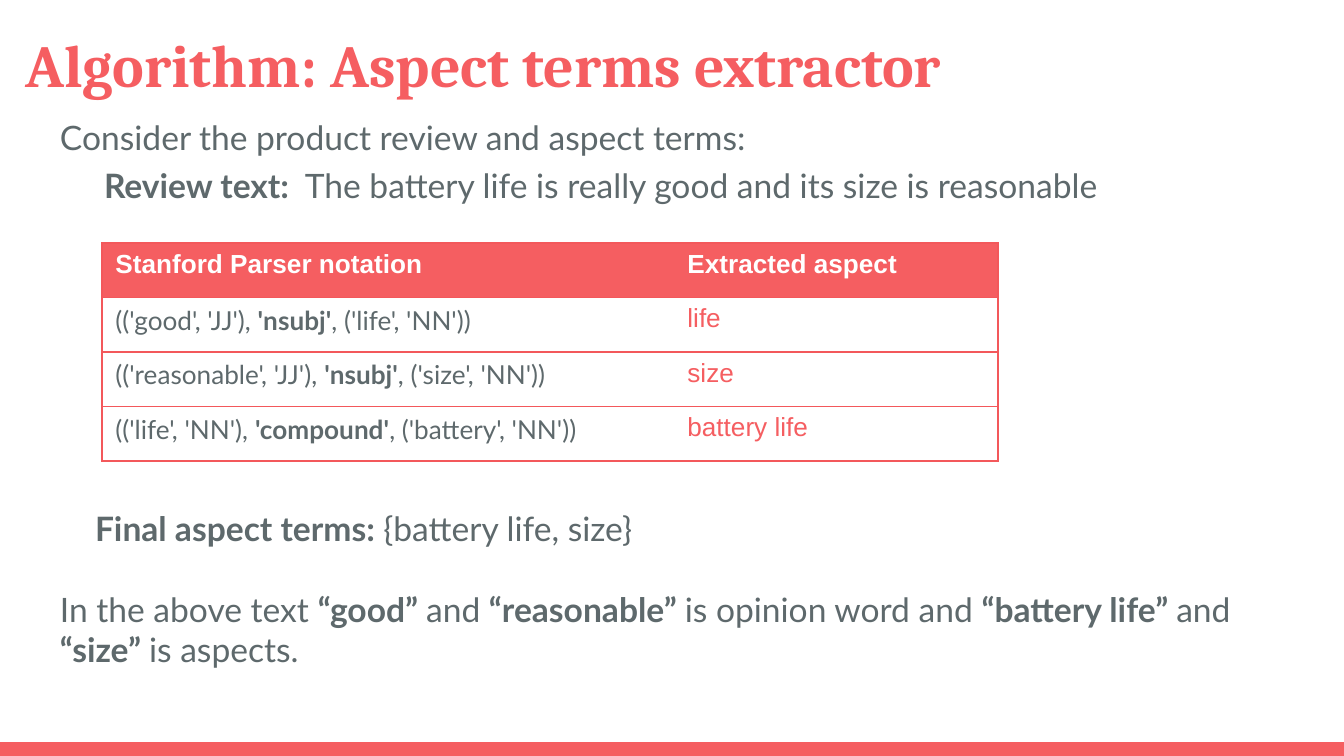
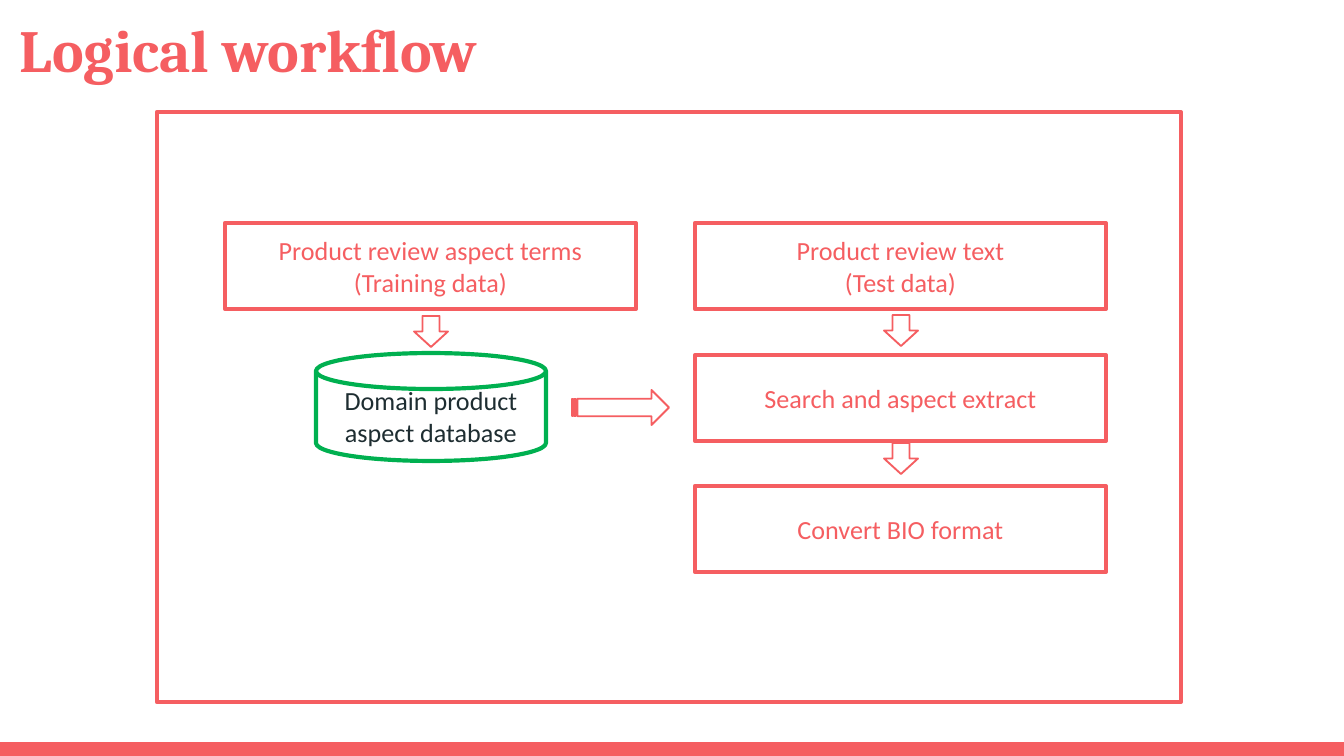
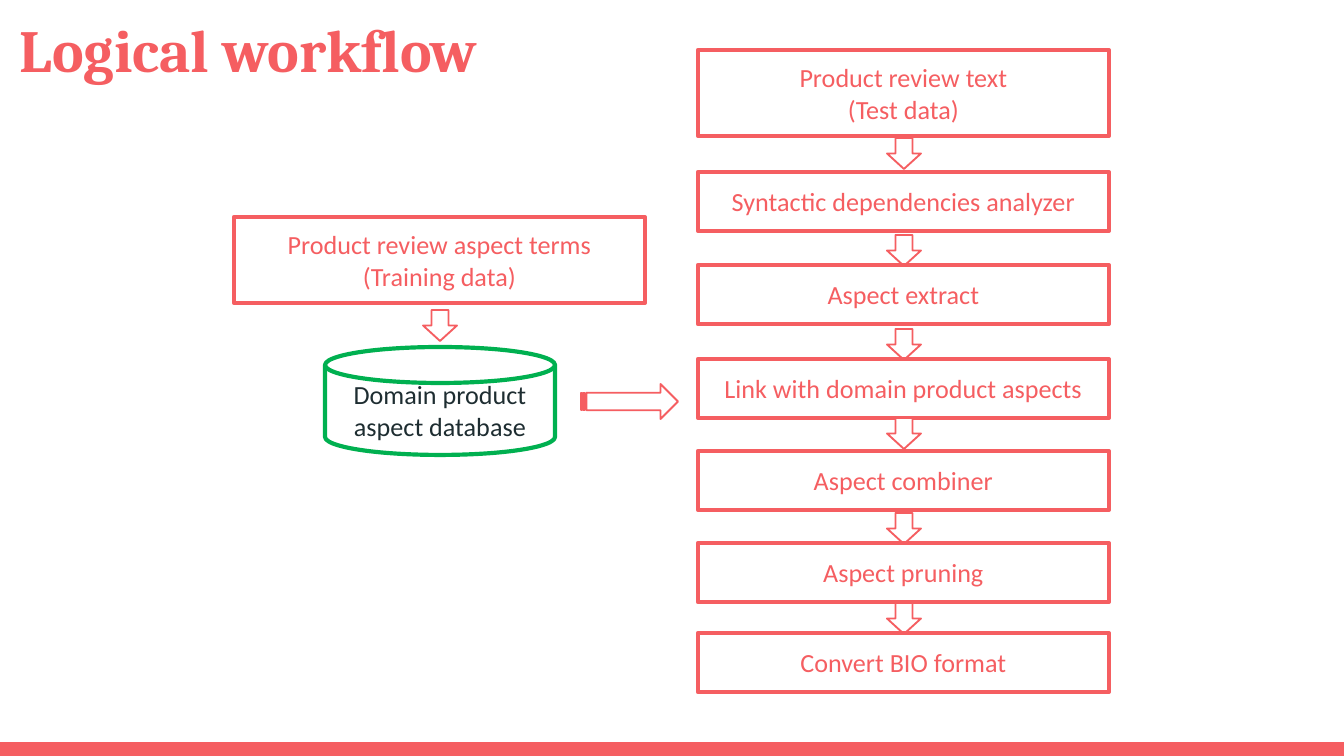
from lxml import etree
from pptx import Presentation
from pptx import util as u
from pptx.dml.color import RGBColor
from pptx.enum import shapes, text
from pptx.oxml.ns import qn

PX = 6804  # EMU in one px; the slide is 1344 px wide


class Theme:
    coral = RGBColor.from_string("F55E61")
    border = RGBColor.from_string("F3585B")
    grey = RGBColor.from_string("5E696C")
    dark = RGBColor.from_string("1E2D31")
    green = RGBColor.from_string("00B050")
    white = RGBColor.from_string("FFFFFF")
    title_font, body_font, table_font, box_font = "Cambria", "Lato", "Arial", "Calibri"
    title_size, body_size, small_size = u.Pt(32), u.Pt(18), u.Pt(14)
    thick, thin, hairline = u.Pt(2.25), u.Pt(1), u.Pt(0.75)


def write_runs(paragraph, marked, font, size, color):
    """Write text into a paragraph; parts between asterisks are bold."""
    for index, part in enumerate(marked.split("*")):
        if part:
            run = paragraph.add_run()
            run.text = part
            run.font.name, run.font.size = font, size
            run.font.bold = index % 2 == 1
            run.font.color.rgb = color


def add_figure(slide, kind, box, line, weight, label="", color=Theme.coral):
    """Add a white outlined shape with an optional centred label."""
    shape = slide.shapes.add_shape(kind, *[length * PX for length in box])
    shape.shadow.inherit = False
    shape.fill.solid()
    shape.fill.fore_color.rgb = Theme.white
    shape.line.color.rgb, shape.line.width = line, weight
    if label:
        frame = shape.text_frame
        frame.word_wrap = True
        frame.vertical_anchor = text.MSO_ANCHOR.MIDDLE
        frame.margin_left = frame.margin_right = 10 * PX
        frame.margin_top = frame.margin_bottom = 5 * PX
        frame.text = label
        for paragraph in frame.paragraphs:
            paragraph.alignment = text.PP_ALIGN.CENTER
            for run in paragraph.runs:
                run.font.name, run.font.size = Theme.box_font, Theme.small_size
                run.font.color.rgb = color
    return shape


presentation = Presentation()
presentation.slide_width, presentation.slide_height = 1344 * PX, 756 * PX
title_only = presentation.slide_layouts[5]

# Slides and their titles
slides = []
for heading, box in [
    ("Algorithm: Aspect terms extractor", (12, 15, 1313, 88)),
    ("Logical workflow", (7, 0, 1253, 98)),
    ("Logical workflow", (7, 0, 1253, 98)),
]:
    slide = presentation.slides.add_slide(title_only)
    title = slide.shapes.title
    title.left, title.top, title.width, title.height = [length * PX for length in box]
    frame = title.text_frame
    frame.auto_size = text.MSO_AUTO_SIZE.NONE
    frame.vertical_anchor = text.MSO_ANCHOR.TOP
    frame.margin_left = frame.margin_right = 13 * PX
    frame.margin_top = frame.margin_bottom = 13 * PX
    frame.paragraphs[0].alignment = text.PP_ALIGN.LEFT
    write_runs(frame.paragraphs[0], f"*{heading}*",
               Theme.title_font, Theme.title_size, Theme.coral)
    slides.append(slide)
extractor_slide, *workflow_slides = slides

# Bottom band, shared through the layout
band = add_figure(extractor_slide, shapes.MSO_SHAPE.RECTANGLE, (0, 742, 1344, 14),
                  Theme.coral, Theme.thin)
band.fill.fore_color.rgb = Theme.coral
band.line.fill.background()
title_only.shapes.element.append(band.element)

# Slide 1: body text, with room for the table before the third paragraph
body = extractor_slide.shapes.add_textbox(47 * PX, 104 * PX, 1243 * PX, 630 * PX)
frame = body.text_frame
frame.word_wrap = True
frame.margin_left = frame.margin_right = frame.margin_top = frame.margin_bottom = 13 * PX
body_lines = [  # text, indent in px, space before in points
    ("Consider the product review and aspect terms:", 0, 0),
    ("*Review text: * The battery life is really good and its size is reasonable", 44, 4),
    ("*Final aspect terms: *{battery life, size}", 35, 162),
    ("In the above text *“good” *and *“reasonable” *is opinion word and "
     "*“battery life” *and *“size” *is aspects.", 0, 22),
]
for index, (line, indent, gap) in enumerate(body_lines):
    paragraph = frame.add_paragraph() if index else frame.paragraphs[0]
    paragraph.space_before = u.Pt(gap)
    paragraph._p.get_or_add_pPr().set("marL", str(indent * PX))
    write_runs(paragraph, line, Theme.body_font, Theme.body_size, Theme.grey)

# Slide 1: table of parsed relations
table_rows = [
    ("*Stanford Parser notation*", "*Extracted aspect*"),
    ("(('good', 'JJ'), *'nsubj'*, ('life', 'NN'))", "life"),
    ("(('reasonable', 'JJ'), *'nsubj'*, ('size', 'NN'))", "size"),
    ("(('life', 'NN'), *'compound'*, ('battery', 'NN'))", "battery life"),
]
table = extractor_slide.shapes.add_table(
    len(table_rows), 2, 102 * PX, 243 * PX, 896 * PX, 218 * PX).table
table.columns[0].width, table.columns[1].width = 572 * PX, 324 * PX
for row, entries in enumerate(table_rows):
    for column, entry in enumerate(entries):
        cell = table.cell(row, column)
        properties = cell._tc.get_or_add_tcPr()
        for side in ("lnL", "lnR", "lnT", "lnB"):
            edge = etree.SubElement(properties, qn(f"a:{side}"), w=str(Theme.hairline))
            if side == ("lnR", "lnL")[column]:
                etree.SubElement(edge, qn("a:noFill"))
            else:
                fill = etree.SubElement(edge, qn("a:solidFill"))
                etree.SubElement(fill, qn("a:srgbClr"), val=str(Theme.border))
        cell.fill.solid()
        cell.fill.fore_color.rgb = Theme.white if row else Theme.coral
        font = Theme.body_font if row and column == 0 else Theme.table_font
        color = (Theme.grey, Theme.coral)[column] if row else Theme.white
        write_runs(cell.text_frame.paragraphs[0], entry, font, Theme.small_size, color)

# Slide 2: frame around the workflow
outline = add_figure(workflow_slides[0], shapes.MSO_SHAPE.RECTANGLE,
                     (157, 112, 1024, 590), Theme.coral, Theme.thick)
outline.fill.background()

# Slides 2 and 3: training branch on the left, test steps on the right
basic_steps = [  # label, top, height, top of the arrow below
    ("Product review text\n(Test data)", 223, 86, 315),
    ("Search and aspect extract", 355, 86, 443),
    ("Convert BIO format", 486, 86, None),
]
detailed_steps = [
    ("Product review text\n(Test data)", 50, 86, 138),
    ("Syntactic dependencies analyzer", 172, 59, 235),
    ("Aspect extract", 265, 59, 329),
    ("Link with domain product aspects", 359, 59, 418),
    ("Aspect combiner", 451, 59, 513),
    ("Aspect pruning", 543, 59, 603),
    ("Convert BIO format", 633, 59, None),
]
box_width, arrow_width, arrow_height = 411, 34, 31
arrow_inset = (box_width - arrow_width) // 2 + 1
for slide, steps, step_left, left, top in [
    (workflow_slides[0], basic_steps, 695, 225, 223),
    (workflow_slides[1], detailed_steps, 698, 234, 217),
]:
    columns = [
        (left, [("Product review aspect terms (Training data)", top, 86, top + 93)]),
        (step_left, steps),
    ]
    for column_left, column_steps in columns:
        for label, step_top, height, arrow_top in column_steps:
            add_figure(slide, shapes.MSO_SHAPE.RECTANGLE,
                       (column_left, step_top, box_width, height),
                       Theme.coral, Theme.thick, label)
            if arrow_top:
                add_figure(slide, shapes.MSO_SHAPE.DOWN_ARROW,
                           (column_left + arrow_inset, arrow_top, arrow_width, arrow_height),
                           Theme.coral, Theme.thin)
    add_figure(slide, shapes.MSO_SHAPE.FLOWCHART_MAGNETIC_DISK,
               (left + 91, top + 130, 230, 108), Theme.green, Theme.thick,
               "Domain product aspect database", Theme.dark)
    add_figure(slide, shapes.MSO_SHAPE.STRIPED_RIGHT_ARROW,
               (left + 347, top + 167, 97, 35), Theme.coral, Theme.thin)

presentation.save("out.pptx")
